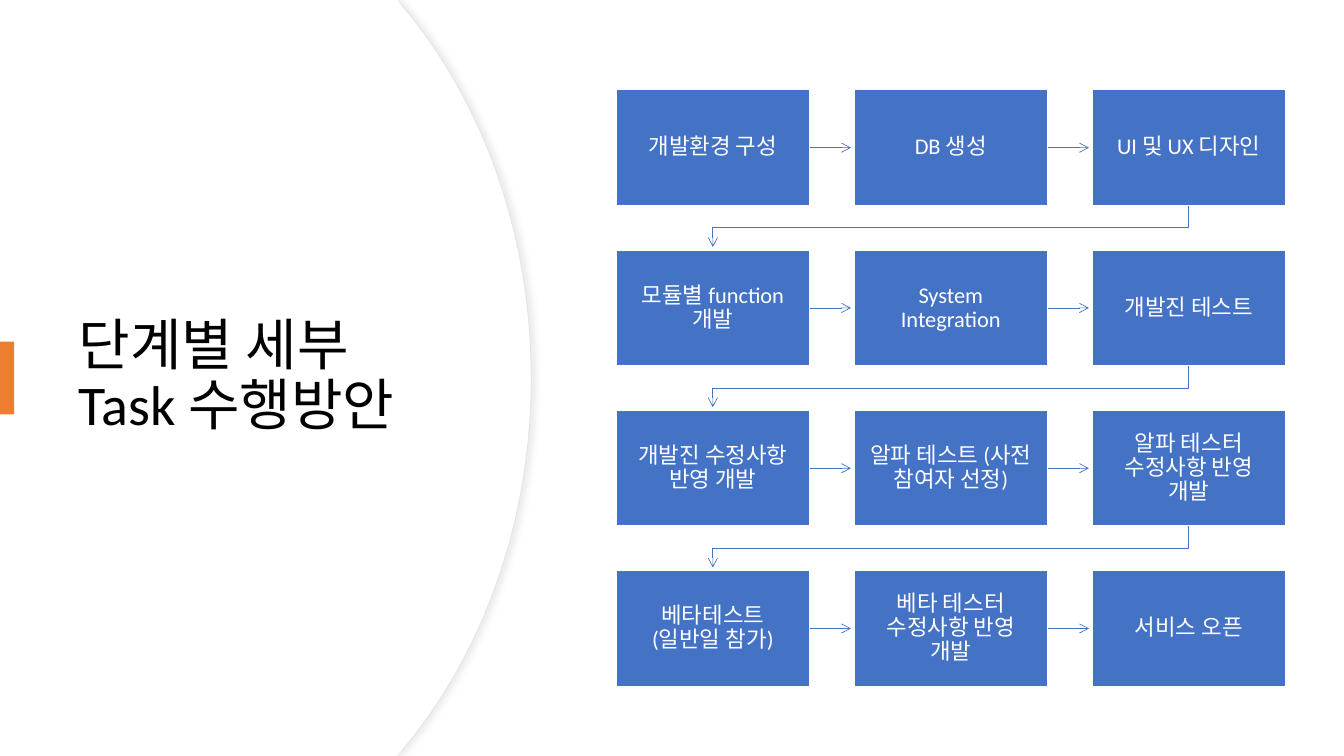
from lxml import etree
from pptx import Presentation
from pptx.dml.color import RGBColor
from pptx.enum import shapes as kinds, text as txt
from pptx.oxml import parse_xml
from pptx.oxml.ns import qn, nsdecls
from pptx.util import Inches, Pt

HEAD = "단계별 세부 Task 수행방안"
STEPS = [
    ["개발환경 구성", "DB 생성", "UI 및 UX 디자인"],
    ["모듈별 function 개발", "System Integration", "개발진 테스트"],
    ["개발진 수정사항 반영 개발", "알파 테스트 (사전 참여자 선정)", "알파 테스터 수정사항 반영 개발"],
    ["베타테스트 (일반일 참가)", "베타 테스터 수정사항 반영 개발", "서비스 오픈"],
]
FONT = "Calibri"
WHITE = RGBColor(0xFF, 0xFF, 0xFF)
BLACK = RGBColor(0, 0, 0)
BLUE = RGBColor(0x44, 0x72, 0xC4)
ORANGE = RGBColor(0xED, 0x7D, 0x31)
EDGE = RGBColor(0xE6, 0xE6, 0xE6)
SHADE = RGBColor(0xD9, 0xD9, 0xD9)

LEFT, TOP = 6.11, 0.89
WIDE, HIGH = 1.92, 1.15
STEP_X, STEP_Y = 2.36, 1.59
REACH = 0.41
TURN = 0.22
CURVE = 20

deck = Presentation()
deck.slide_width, deck.slide_height = Inches(13.33), Inches(7.5)
slide = deck.slides.add_slide(deck.slide_layouts[5])
parts = slide.shapes


def outline(points, close):
    spots = [(Inches(x), Inches(y)) for x, y in points]
    form = parts.build_freeform(*spots[0], scale=1.0)
    form.add_line_segments(spots[1:], close=close)
    shape = form.convert_to_shape()
    shape.shadow.inherit = False
    return shape


def arc(a, b, c, d):
    for i in range(CURVE + 1):
        t = i / CURVE
        s = 1 - t
        yield tuple(s**3 * p + 3 * s * s * t * q + 3 * s * t * t * r + t**3 * e
                    for p, q, r, e in zip(a, b, c, d))


def panel(shift):
    upper = list(arc((4 + shift, 0.08), (4.78 + shift, 1.02),
                     (5.26 + shift, 2.32), (5.26 + shift, 3.75)))
    lower = [(x, 7.5 - y) for x, y in reversed(upper[:-1])]
    shape = outline([(0, 0), (3.94, 0)] + upper + lower + [(3.94, 7.5), (0, 7.5)], True)
    shape.fill.solid()
    shape.fill.fore_color.rgb = WHITE
    return shape


def block(x, y, w, h, color):
    shape = parts.add_shape(kinds.MSO_SHAPE.RECTANGLE,
                            Inches(x), Inches(y), Inches(w), Inches(h))
    shape.shadow.inherit = False
    shape.fill.solid()
    shape.fill.fore_color.rgb = color
    return shape


def write(shape, words, size, color, align):
    frame = shape.text_frame
    frame.text = words
    frame.word_wrap = True
    frame.vertical_anchor = txt.MSO_ANCHOR.MIDDLE
    para = frame.paragraphs[0]
    para.alignment = align
    para.line_spacing = 0.9
    font = para.runs[0].font
    font.size, font.name, font.color.rgb = Pt(size), FONT, color
    return frame


def arrow(shape):
    shape.line.color.rgb = BLUE
    shape.line.width = Pt(0.5)
    line = shape.element.spPr.find(qn("a:ln"))
    etree.SubElement(line, qn("a:tailEnd"), type="arrow")


back = panel(0.01)
back.line.color.rgb = EDGE
back.line.width = Pt(0.75)
back.element.spPr.find(qn("a:effectLst")).append(parse_xml(
    f'<a:outerShdw {nsdecls("a")} blurRad="{Pt(4)}" dist="{Pt(3)}" dir="0">'
    f'<a:srgbClr val="{SHADE}"><a:alpha val="50000"/></a:srgbClr></a:outerShdw>'))
panel(0).line.fill.background()

title = parts.title
title.left, title.top = Inches(0.68), Inches(1.27)
title.width, title.height = Inches(3.94), Inches(4.95)
write(title, HEAD, 40, BLACK, txt.PP_ALIGN.LEFT)
title.element.getparent().append(title.element)
block(0, 3.39, 0.14, 0.72, ORANGE).line.fill.background()

for row, names in enumerate(STEPS):
    y = TOP + row * STEP_Y
    for col, name in enumerate(names):
        x = LEFT + col * STEP_X
        box = block(x, y, WIDE, HIGH, BLUE)
        box.line.color.rgb = WHITE
        box.line.width = Pt(1)
        frame = write(box, name, 16, WHITE, txt.PP_ALIGN.CENTER)
        frame.margin_left = frame.margin_right = Inches(0.12)
        frame.margin_top = frame.margin_bottom = Inches(0.12)
        frame.paragraphs[0].space_after = Pt(5.6)
        if col < len(names) - 1:
            mid = Inches(y + HIGH / 2)
            link = parts.add_connector(kinds.MSO_CONNECTOR.STRAIGHT, Inches(x + WIDE), mid,
                                       Inches(x + WIDE + REACH), mid)
            link.begin_connect(box, 3)
            arrow(link)
            etree.SubElement(link.element.spPr, qn("a:effectLst"))
        elif row < len(STEPS) - 1:
            base = y + HIGH
            start, end = x + WIDE / 2, LEFT + WIDE / 2
            bend = outline([(start, base), (start, base + TURN),
                            (end, base + TURN), (end, base + REACH)], False)
            bend.fill.background()
            arrow(bend)

deck.save("out.pptx")
